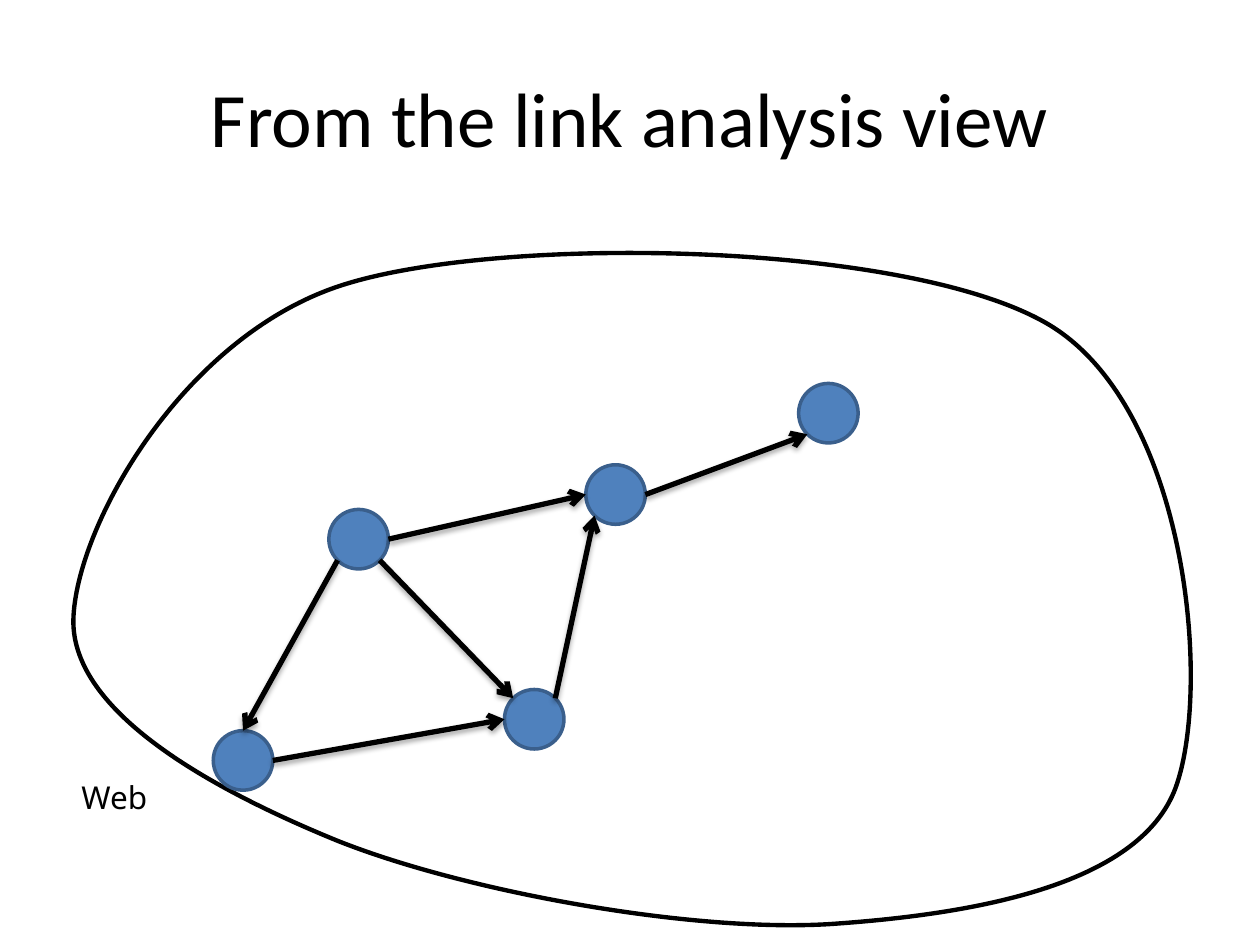
"""Build a slide that shows the web as a graph of linked pages."""
from math import cos, radians, sin

from lxml import etree
from pptx import Presentation, util as u
from pptx.dml.color import RGBColor
from pptx.enum import shapes, text
from pptx.oxml import parse_xml
from pptx.oxml.ns import qn

BLACK = RGBColor(0x00, 0x00, 0x00)
BLUE = RGBColor(0x4F, 0x81, 0xBD)
EDGE = RGBColor(0x3A, 0x5F, 0x8C)
SHADOW = """<a:effectLst
 xmlns:a="http://schemas.openxmlformats.org/drawingml/2006/main">
<a:outerShdw blurRad="40000" dist="23000" dir="5400000" rotWithShape="0">
<a:srgbClr val="000000"><a:alpha val="35000"/></a:srgbClr>
</a:outerShdw></a:effectLst>"""


def style(item, values):
    for name, value in values.items():
        setattr(item, name, value)


def stroke(shape, color, width):
    shape.line.color.rgb = color
    shape.line.width = u.Pt(width)


deck = Presentation()
style(deck, {"slide_width": u.Cm(25.4), "slide_height": u.Cm(19.05)})
slide = deck.slides.add_slide(deck.slide_layouts[5])

title = slide.shapes.title
style(title, {"left": u.Cm(1.27), "top": u.Cm(0.76),
              "width": u.Cm(22.86), "height": u.Cm(3.18)})
title.text_frame.text = "From the link analysis view"
title.text_frame.vertical_anchor = text.MSO_ANCHOR.MIDDLE
para = title.text_frame.paragraphs[0]
para.alignment = text.PP_ALIGN.CENTER
style(para.font, {"name": "Calibri", "size": u.Pt(44)})
para.font.color.rgb = BLACK

start = (6.78, 16.94)
curve = [
    (4.24, 15.9), (1.45, 14.35), (1.48, 12.5),
    (1.52, 10.62), (3.71, 6.71), (6.99, 5.72),
    (10.26, 4.72), (18.39, 4.88), (21.17, 6.56),
    (23.95, 8.26), (24.43, 13.87), (23.7, 15.88),
    (22.96, 17.88), (19.53, 18.44), (16.72, 18.63),
    (13.89, 18.8), (9.32, 17.96), start,
]
area = slide.shapes.add_group_shape().shapes
pen = area.build_freeform(u.Cm(start[0]), u.Cm(start[1]))
pen.add_line_segments([(u.Cm(x), u.Cm(y)) for x, y in curve], close=True)
web = pen.convert_to_shape()
lines = list(web._element.iter(qn("a:lnTo")))
for first in range(0, len(lines), 3):
    bend = etree.Element(qn("a:cubicBezTo"))
    lines[first].addprevious(bend)
    for line in lines[first:first + 3]:
        bend.append(line[0])
        line.getparent().remove(line)
web.shadow.inherit = False
web.fill.background()
stroke(web, BLACK, 2.5)

label = area.add_textbox(u.Cm(0.98), u.Cm(15.55), u.Cm(2.24), u.Cm(1.27))
style(label.text_frame, {"word_wrap": False, "text": "Web",
                         "auto_size": text.MSO_AUTO_SIZE.SHAPE_TO_FIT_TEXT})
para = label.text_frame.paragraphs[0]
para.alignment = text.PP_ALIGN.RIGHT
style(para.font, {"name": "Noto Sans", "size": u.Pt(18)})
para.font.color.rgb = BLACK

graph = slide.shapes.add_group_shape().shapes
radius = 0.6
pages = {"A": (7.23, 10.87), "B": (4.9, 15.33), "C": (10.77, 14.5),
         "D": (12.41, 9.97), "E": (16.7, 8.33)}
for x, y in pages.values():
    page = graph.add_shape(
        shapes.MSO_SHAPE.OVAL, u.Cm(x - radius), u.Cm(y - radius),
        u.Cm(2 * radius), u.Cm(2 * radius))
    page.shadow.inherit = False
    page.fill.solid()
    page.fill.fore_color.rgb = BLUE
    stroke(page, EDGE, 2)

angles = {"right": 0, "low right": 45, "low left": 135, "left": 180,
          "high left": 225, "top": 270, "high right": 315}
links = [("A", "low left", "B", "top"), ("A", "low right", "C", "high left"),
         ("B", "right", "C", "left"), ("A", "right", "D", "left"),
         ("C", "high right", "D", "low left"), ("D", "right", "E", "low left")]
for source, exit, target, entry in links:
    ends = []
    for name, side in ((source, exit), (target, entry)):
        x, y = pages[name]
        turn = radians(angles[side])
        ends += [u.Cm(x + radius * cos(turn)), u.Cm(y + radius * sin(turn))]
    link = graph.add_connector(shapes.MSO_CONNECTOR.STRAIGHT, *ends)
    stroke(link, BLACK, 3)
    etree.SubElement(link.line._get_or_add_ln(), qn("a:tailEnd"), type="arrow")
    link._element.spPr.append(parse_xml(SHADOW))

deck.save("out.pptx")
